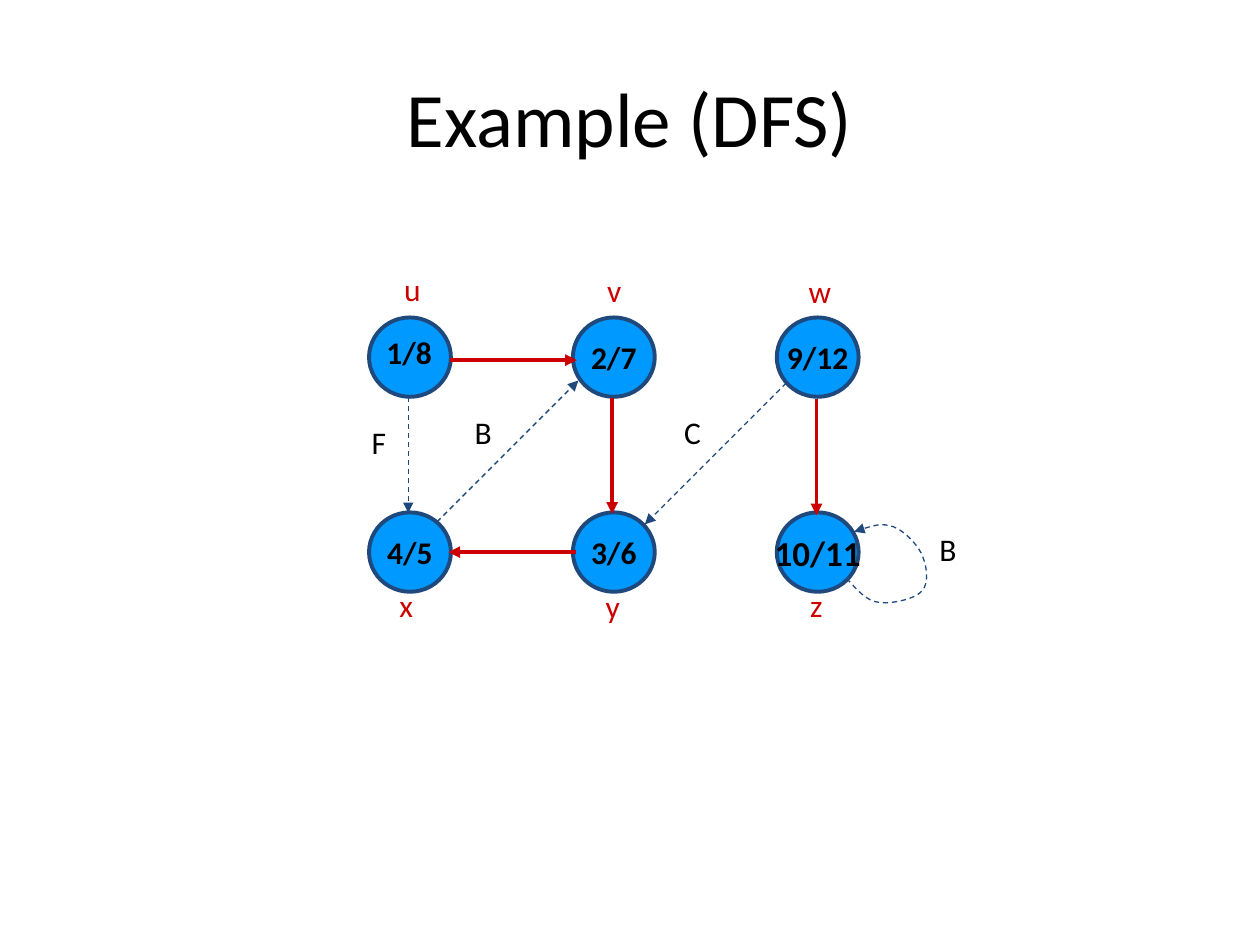
from dataclasses import dataclass

from lxml import etree
from pptx import Presentation
from pptx.dml.color import RGBColor
from pptx.enum.dml import MSO_LINE
from pptx.enum.shapes import MSO_CONNECTOR, MSO_SHAPE
from pptx.enum.text import MSO_ANCHOR, MSO_AUTO_SIZE, PP_ALIGN
from pptx.oxml.ns import qn
from pptx.util import Cm, Pt

STRAIGHT = MSO_CONNECTOR.STRAIGHT
OVAL = MSO_SHAPE.OVAL
DASH = MSO_LINE.DASH
MIDDLE = MSO_ANCHOR.MIDDLE
CENTER = PP_ALIGN.CENTER
GROW = MSO_AUTO_SIZE.SHAPE_TO_FIT_TEXT

BLACK = RGBColor(0x00, 0x00, 0x00)
RED = RGBColor(0xCC, 0x00, 0x00)
NAVY = RGBColor(0x1F, 0x49, 0x7D)
BLUE = RGBColor(0x00, 0x99, 0xFF)
FONT = "Calibri"

# All lengths below are centimetres.
NODE_LEFT, NODE_TOP = 7.44, 6.4
COLUMN_STEP, ROW_STEP = 4.11, 3.93
NODE_WIDTH, NODE_HEIGHT = 1.65, 1.6
LABEL_HEIGHT = 1.27


@dataclass(frozen=True)
class Node:
    times: str
    column: int
    row: int
    size: int = 18


@dataclass(frozen=True)
class Label:
    text: str
    left: float
    top: float
    width: float
    color: RGBColor = BLACK
    bold: bool = False


@dataclass(frozen=True)
class Edge:
    start: tuple[float, float]
    end: tuple[float, float]
    is_tree: bool = False


NODES = [
    Node("", 0, 0),  # its times stand in a label, a little above the centre
    Node("4/5", 0, 1),
    Node("3/6", 1, 1),
    Node("10/11", 2, 1, 20),
    Node("2/7", 1, 0),
    Node("9/12", 2, 0),
]

EDGES = [
    Edge((11.61, 11.13), (9.04, 11.13), is_tree=True),
    Edge((8.23, 8.0), (8.23, 10.34)),
    Edge((12.34, 8.03), (12.34, 10.36), is_tree=True),
    Edge((16.46, 8.05), (16.46, 10.39), is_tree=True),
    Edge((8.81, 10.52), (11.66, 7.67)),
    Edge((9.07, 7.26), (11.63, 7.26), is_tree=True),
    Edge((15.85, 7.72), (13.0, 10.57)),
]

LABELS = [
    Label("1/8", 7.54, 6.58, 1.6, bold=True),
    Label("u", 7.9, 5.31, 0.94, RED),
    Label("v", 11.99, 5.33, 0.94, RED),
    Label("w", 16.05, 5.36, 1.12, RED),
    Label("x", 7.8, 11.68, 0.94, RED),
    Label("y", 11.96, 11.71, 0.94, RED),
    Label("z", 16.08, 11.68, 0.89, RED),
    Label("B", 9.32, 8.2, 1.07),
    Label("F", 7.24, 8.41, 0.99),
    Label("C", 13.54, 8.2, 1.07),
    Label("B", 18.69, 10.57, 1.07),
]

# Start point, then two control points and an end point for each curve.
LOOP = [
    (17.07, 11.66),
    (17.27, 11.89), (17.48, 12.12), (17.7, 12.14),
    (17.96, 12.19), (18.47, 12.07), (18.59, 11.91),
    (18.75, 11.73), (18.67, 11.35), (18.57, 11.15),
    (18.47, 10.95), (18.21, 10.69), (18.01, 10.62),
    (17.78, 10.54), (17.5, 10.62), (17.22, 10.72),
]


def write(frame, text: str, size: int, color: RGBColor = BLACK, bold: bool = False) -> None:
    frame.text = text
    font = frame.paragraphs[0].font
    font.name, font.size, font.bold = FONT, Pt(size), bold
    font.color.rgb = color


def add_title(page, text: str) -> None:
    box = page.shapes.add_textbox(Cm(1.27), Cm(0.76), Cm(22.86), Cm(3.18))
    frame = box.text_frame
    frame.word_wrap = True
    frame.vertical_anchor = MIDDLE
    write(frame, text, 44)
    frame.paragraphs[0].alignment = CENTER


def add_node(page, node: Node) -> None:
    left = NODE_LEFT + node.column * COLUMN_STEP
    top = NODE_TOP + node.row * ROW_STEP
    circle = page.shapes.add_shape(OVAL, Cm(left), Cm(top), Cm(NODE_WIDTH), Cm(NODE_HEIGHT))
    circle.shadow.inherit = False
    circle.fill.solid()
    circle.fill.fore_color.rgb = BLUE
    circle.line.color.rgb = NAVY
    circle.line.width = Pt(2.25)
    if node.times:
        frame = circle.text_frame
        frame.word_wrap = False
        frame.vertical_anchor = MIDDLE
        write(frame, node.times, node.size, bold=True)
        frame.paragraphs[0].alignment = CENTER


def add_label(page, label: Label) -> None:
    box = page.shapes.add_textbox(
        Cm(label.left), Cm(label.top), Cm(label.width), Cm(LABEL_HEIGHT)
    )
    frame = box.text_frame
    frame.word_wrap = False
    frame.auto_size = GROW
    write(frame, label.text, 18, label.color, label.bold)


def style_arrow(line, is_tree: bool) -> None:
    """Tree edges are solid red, all others thin and dashed."""
    line.color.rgb = RED if is_tree else NAVY
    line.width = Pt(2.25 if is_tree else 0.75)
    if not is_tree:
        line.dash_style = DASH
    etree.SubElement(line._get_or_add_ln(), qn("a:tailEnd"), type="triangle")


def add_edge(page, edge: Edge) -> None:
    ends = [Cm(value) for value in edge.start + edge.end]
    connector = page.shapes.add_connector(STRAIGHT, *ends)
    style_arrow(connector.line, edge.is_tree)
    etree.SubElement(connector._element.spPr, qn("a:effectLst"))


def add_loop(page, points: list[tuple[float, float]]) -> None:
    """Draw a chain of cubic curves, grouping each three points into one."""
    start, *others = [(Cm(x), Cm(y)) for x, y in points]
    builder = page.shapes.build_freeform(*start)
    builder.add_line_segments(others, close=False)
    loop = builder.convert_to_shape()
    loop.shadow.inherit = False
    loop.fill.background()
    style_arrow(loop.line, is_tree=False)

    outline = next(loop._element.iter(qn("a:path")))
    steps = outline.findall(qn("a:lnTo"))
    for first in range(0, len(steps), 3):
        curve = etree.SubElement(outline, qn("a:cubicBezTo"))
        for step in steps[first:first + 3]:
            curve.append(step[0])
            outline.remove(step)


def main() -> None:
    deck = Presentation()
    deck.slide_width, deck.slide_height = Cm(25.4), Cm(19.05)
    page = deck.slides.add_slide(deck.slide_layouts[6])
    add_title(page, "Example (DFS)")
    for node in NODES:
        add_node(page, node)
    for edge in EDGES:
        add_edge(page, edge)
    add_loop(page, LOOP)
    for label in LABELS:
        add_label(page, label)
    deck.save("out.pptx")


if __name__ == "__main__":
    main()
